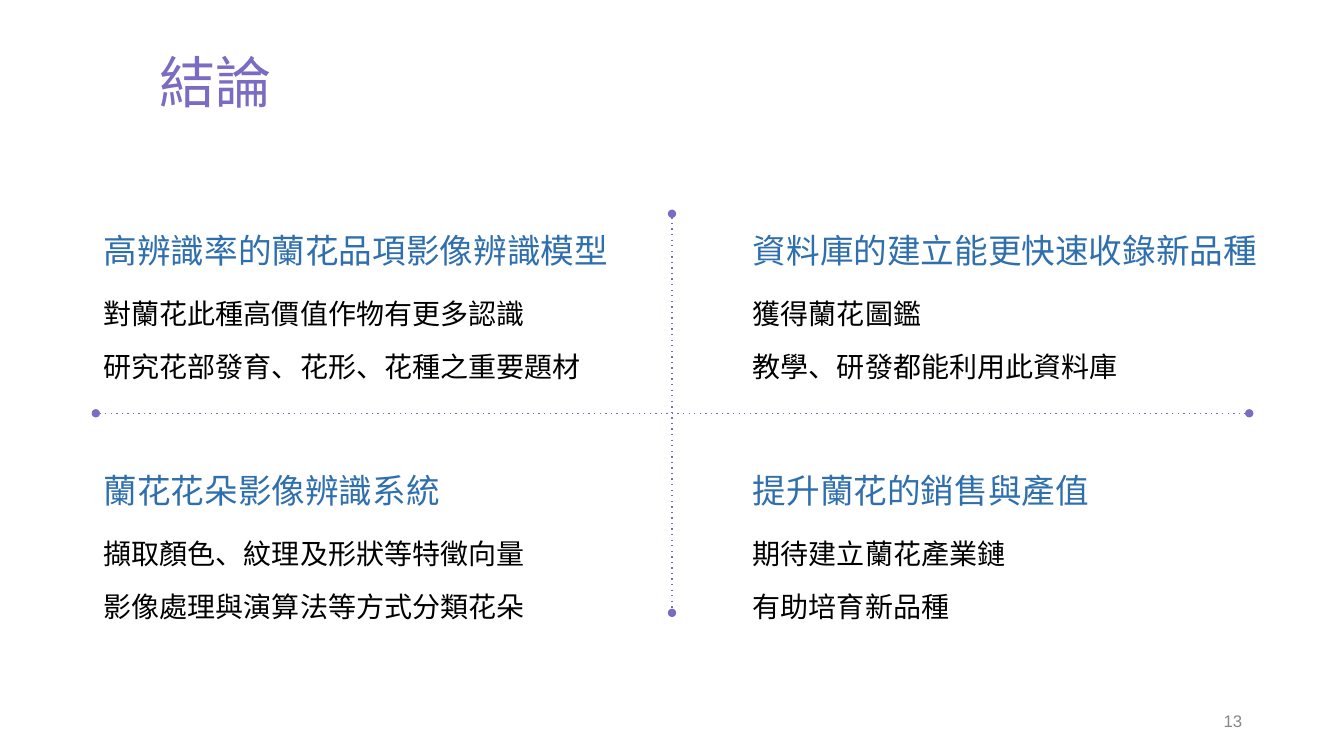
from lxml.etree import SubElement
from pptx import Presentation
from pptx.dml.color import RGBColor
from pptx.enum.shapes import MSO_CONNECTOR
from pptx.enum.text import MSO_ANCHOR, PP_ALIGN
from pptx.oxml.ns import qn
from pptx.util import Inches, Pt

PURPLE = RGBColor(0x79, 0x6C, 0xC2)
BLUE = RGBColor(0x2F, 0x6F, 0xAD)
BLACK = RGBColor(0, 0, 0)
GRAY = RGBColor(0x88, 0x88, 0x88)

COLS = (6.98, 55.28)
ROWS = (29.73, 61.47)
CARDS = (
    (
        ("高辨識率的蘭花品項影像辨識模型",
         "對蘭花此種高價值作物有更多認識\n研究花部發育、花形、花種之重要題材"),
        ("資料庫的建立能更快速收錄新品種",
         "獲得蘭花圖鑑\n教學、研發都能利用此資料庫"),
    ),
    (
        ("蘭花花朵影像辨識系統",
         "擷取顏色、紋理及形狀等特徵向量\n影像處理與演算法等方式分類花朵"),
        ("提升蘭花的銷售與產值",
         "期待建立蘭花產業鏈\n有助培育新品種"),
    ),
)


class Deck:
    font = "Arial"

    def __init__(self):
        self.show = Presentation()
        self.show.slide_width = Inches(13.33)
        self.show.slide_height = Inches(7.5)
        self.slide = self.show.slides.add_slide(self.show.slide_layouts[6])

    def wide(self, share):
        return round(self.show.slide_width * share / 100)

    def high(self, share):
        return round(self.show.slide_height * share / 100)

    def text(self, words, left, top, width, height, size, color, font=None,
             anchor=MSO_ANCHOR.TOP, align=PP_ALIGN.LEFT, pitch=None, gap=0):
        box = self.slide.shapes.add_textbox(
            self.wide(left), self.high(top), self.wide(width), self.high(height))
        frame = box.text_frame
        frame.word_wrap = True
        frame.vertical_anchor = anchor
        frame.text = words
        for index, line in enumerate(frame.paragraphs):
            line.alignment = align
            line.line_spacing = pitch
            line.space_before = Pt(gap if index else 0)
            for run in line.runs:
                run.font.name = font or self.font
                run.font.size = Pt(size)
                run.font.color.rgb = color

    def card(self, left, top, head, body):
        self.text(head, left, top, 42.08, 6.67, 24, BLUE)
        self.text(body, left, top + 6.6, 42.08, 14.4, 20, BLACK,
                  pitch=1.5, gap=1.8)

    def rule(self, left, top, right, bottom):
        line = self.slide.shapes.add_connector(
            MSO_CONNECTOR.STRAIGHT, self.wide(left), self.high(top),
            self.wide(right), self.high(bottom))
        line.line.color.rgb = PURPLE
        line.line.width = Pt(1)
        props = line._element.spPr
        stroke = props.find(qn("a:ln"))
        SubElement(stroke, qn("a:prstDash"), val="dot")
        for end in ("a:headEnd", "a:tailEnd"):
            SubElement(stroke, qn(end), type="oval")
        SubElement(props, qn("a:effectLst"))


def main():
    deck = Deck()
    deck.text("結論", 11.1, 4.8, 86.27, 12.93, 40, PURPLE, font="Montserrat",
              anchor=MSO_ANCHOR.MIDDLE, pitch=0.9)
    deck.text("13", 70.67, 92.67, 22.5, 5.33, 12, GRAY,
              anchor=MSO_ANCHOR.MIDDLE, align=PP_ALIGN.RIGHT)
    for top, row in zip(ROWS, CARDS):
        for left, (head, body) in zip(COLS, row):
            deck.card(left, top, head, body)
    deck.rule(92.95, 54.67, 7.13, 54.67)
    deck.rule(50, 28.27, 50, 81.07)
    deck.show.save("out.pptx")


if __name__ == "__main__":
    main()
